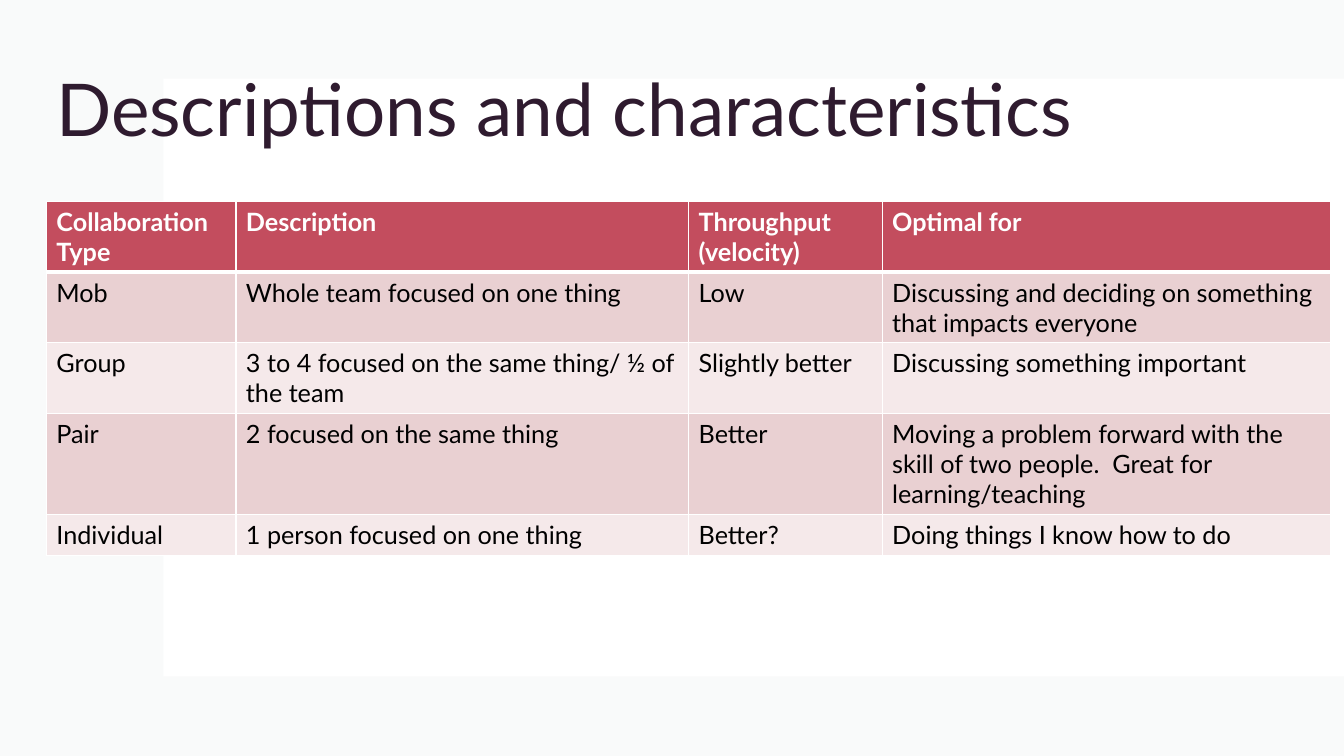
from dataclasses import astuple, dataclass

from lxml import etree
from pptx import Presentation
from pptx import util as u
from pptx.dml.color import RGBColor
from pptx.enum import shapes, text
from pptx.oxml import ns

WHITE = RGBColor(0xFF, 0xFF, 0xFF)
BLACK = RGBColor(0x00, 0x00, 0x00)
MIST = RGBColor(0xF0, 0xF3, 0xF3)
PLUM = RGBColor(0x2F, 0x1B, 0x2F)
CRIMSON = RGBColor(0xC3, 0x4D, 0x5E)
ROSE = RGBColor(0xE9, 0xD0, 0xD2)
BLUSH = RGBColor(0xF5, 0xE9, 0xEA)

SLIDE_WIDTH, SLIDE_HEIGHT = 13.33, 7.5
COLUMN_WIDTHS = (1.88, 4.49, 1.92, 4.45)
ROW_HEIGHT = 0.41
THIN, THICK = 1, 3


@dataclass(frozen=True)
class Panel:
    left: float
    top: float
    width: float
    height: float
    color: RGBColor
    opacity: int = 100


@dataclass(frozen=True)
class Collaboration:
    kind: str
    description: str
    throughput: str
    optimal_for: str


PANELS = (
    Panel(0, 0, SLIDE_WIDTH, SLIDE_HEIGHT, MIST, 35),
    Panel(1.62, 0.78, 11.71, 5.93, WHITE),
)

HEADINGS = Collaboration(
    "Collaboration Type", "Description", "Throughput (velocity)", "Optimal for"
)
COLLABORATIONS = (
    Collaboration(
        "Mob",
        "Whole team focused on one thing",
        "Low",
        "Discussing and deciding on something that impacts everyone",
    ),
    Collaboration(
        "Group",
        "3 to 4 focused on the same thing/ ½ of the team",
        "Slightly better",
        "Discussing something important",
    ),
    Collaboration(
        "Pair",
        "2 focused on the same thing",
        "Better",
        "Moving a problem forward with the skill of two people.  "
        "Great for learning/teaching",
    ),
    Collaboration(
        "Individual",
        "1 person focused on one thing",
        "Better?",
        "Doing things I know how to do",
    ),
)


def write(paragraph, words: str, size: int, color: RGBColor, bold: bool = False) -> None:
    run = paragraph.add_run()
    run.text = words
    for key, value in {"name": "Lato", "size": u.Pt(size), "bold": bold}.items():
        setattr(run.font, key, value)
    run.font.color.rgb = color


def draw_panel(slide, panel: Panel) -> None:
    box = (panel.left, panel.top, panel.width, panel.height)
    backdrop = slide.shapes.add_shape(
        shapes.MSO_SHAPE.RECTANGLE, *(u.Inches(length) for length in box)
    )
    backdrop.shadow.inherit = False
    backdrop.line.fill.background()
    backdrop.fill.solid()
    backdrop.fill.fore_color.rgb = panel.color
    if panel.opacity < 100:
        color = backdrop.element.spPr.find(".//" + ns.qn("a:srgbClr"))
        etree.SubElement(color, ns.qn("a:alpha"), val=str(panel.opacity * 1000))


def draw_title(slide) -> None:
    title = slide.shapes.add_textbox(
        u.Inches(0.46), u.Inches(0.4), u.Inches(11.53), u.Inches(1.45)
    )
    frame = title.text_frame
    layout = {"word_wrap": True, "vertical_anchor": text.MSO_ANCHOR.MIDDLE}
    for key, value in layout.items():
        setattr(frame, key, value)
    heading = frame.paragraphs[0]
    heading.line_spacing = 0.9
    write(heading, "Descriptions and characteristics", 52, PLUM)


def add_borders(cell, top: int, bottom: int) -> None:
    properties = cell._tc.get_or_add_tcPr()
    widths = {"lnL": THIN, "lnR": THIN, "lnT": top, "lnB": bottom}
    for side, width in widths.items():
        border = etree.SubElement(
            properties, ns.qn(f"a:{side}"), w=str(u.Pt(width))
        )
        fill = etree.SubElement(border, ns.qn("a:solidFill"))
        etree.SubElement(fill, ns.qn("a:srgbClr"), val=str(WHITE))


def draw_comparison(slide) -> None:
    rows = (HEADINGS, *COLLABORATIONS)
    comparison = slide.shapes.add_table(
        len(rows),
        len(COLUMN_WIDTHS),
        u.Inches(0.46),
        u.Inches(2),
        u.Inches(sum(COLUMN_WIDTHS)),
        u.Inches(ROW_HEIGHT * len(rows)),
    ).table
    for column, width in zip(comparison.columns, COLUMN_WIDTHS):
        column.width = u.Inches(width)
    for index, collaboration in enumerate(rows):
        comparison.rows[index].height = u.Inches(ROW_HEIGHT)
        is_header = index == 0
        band = CRIMSON if is_header else (BLUSH, ROSE)[index % 2]
        top = THICK if index == 1 else THIN
        bottom = THICK if is_header else THIN
        for cell, words in zip(comparison.rows[index].cells, astuple(collaboration)):
            add_borders(cell, top, bottom)
            cell.fill.solid()
            cell.fill.fore_color.rgb = band
            ink = WHITE if is_header else BLACK
            write(cell.text_frame.paragraphs[0], words, 18, ink, is_header)


def main() -> None:
    deck = Presentation()
    deck.slide_width = u.Inches(SLIDE_WIDTH)
    deck.slide_height = u.Inches(SLIDE_HEIGHT)
    slide = deck.slides.add_slide(deck.slide_layouts[6])
    for panel in PANELS:
        draw_panel(slide, panel)
    draw_title(slide)
    draw_comparison(slide)
    deck.save("out.pptx")


if __name__ == "__main__":
    main()
